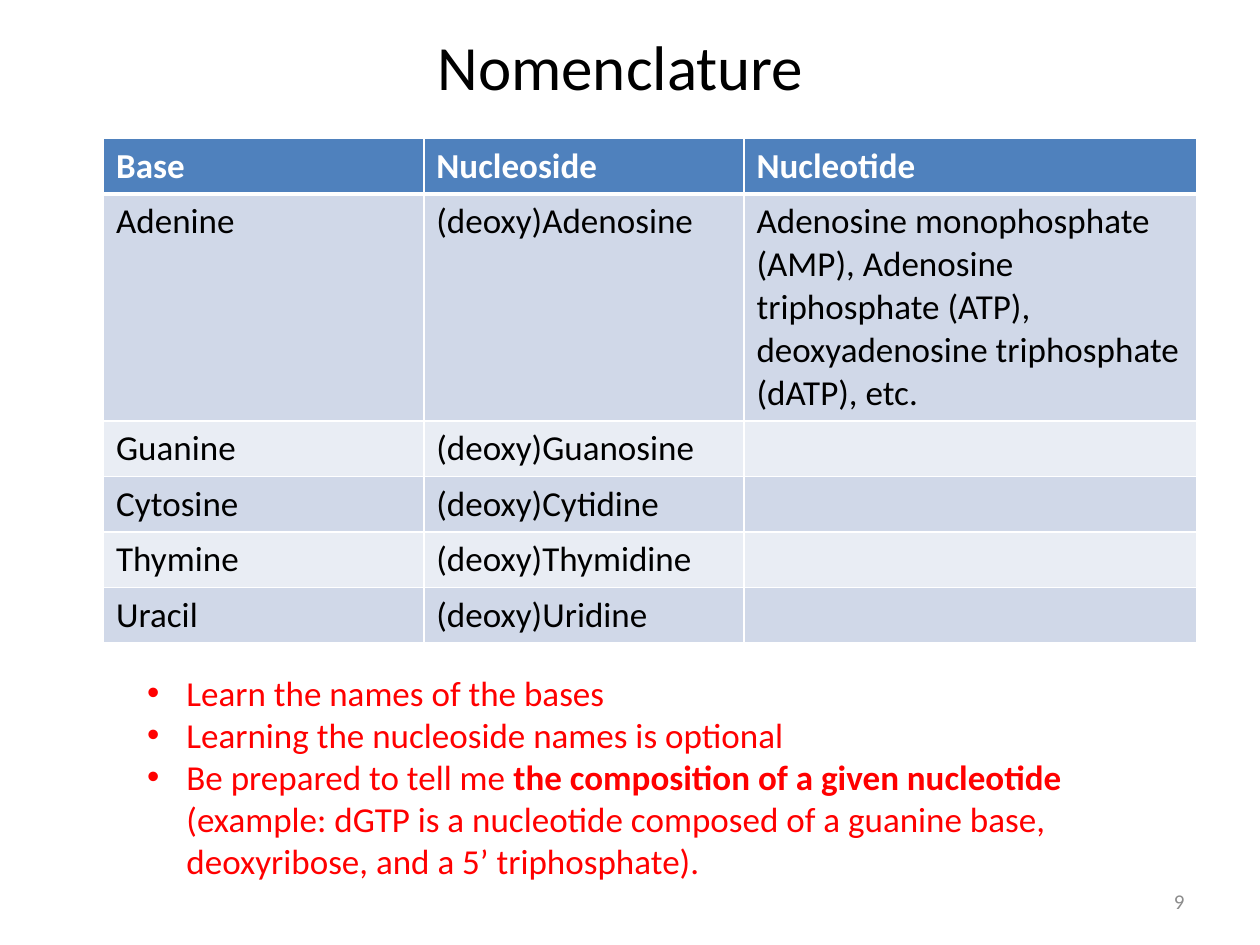
from pptx import Presentation
from pptx.dml.color import RGBColor
from pptx.enum.text import MSO_ANCHOR as Anchor, PP_ALIGN as Align
from pptx.oxml.ns import qn
from pptx.util import Pt
from lxml.etree import SubElement


def color(value):
    return RGBColor.from_string(value)


def set_font(font, size, value, bold=False):
    font.name, font.size, font.bold = "Calibri", Pt(size), bold
    font.color.rgb = color(value)


deck = Presentation()
deck.slide_width, deck.slide_height = Pt(720), Pt(540)
page = deck.slides.add_slide(deck.slide_layouts[5])

# Title
title = page.shapes.title
title.left, title.top, title.width, title.height = Pt(25.2), Pt(12.2), Pt(658.8), Pt(51)
title.text_frame.text = "Nomenclature"
title.text_frame.vertical_anchor = Anchor.TOP
para = title.text_frame.paragraphs[0]
para.alignment = Align.CENTER
set_font(para.font, 36, "000000")

# Table of names
rows = [
    ("Base", "Nucleoside", "Nucleotide"),
    ("Adenine", "(deoxy)Adenosine",
     "Adenosine monophosphate (AMP), Adenosine triphosphate (ATP), "
     "deoxyadenosine triphosphate (dATP), etc."),
    ("Guanine", "(deoxy)Guanosine", ""),
    ("Cytosine", "(deoxy)Cytidine", ""),
    ("Thymine", "(deoxy)Thymidine", ""),
    ("Uracil", "(deoxy)Uridine", ""),
]
widths = [183, 183, 258.6]
heights = [31.2, 127, 31.2, 31.2, 31.2, 31.2]
table = page.shapes.add_table(len(rows), len(widths), Pt(59.2), Pt(79.2),
                              Pt(sum(widths)), Pt(sum(heights))).table
for column, width in zip(table.columns, widths):
    column.width = Pt(width)

for r, row in enumerate(rows):
    table.rows[r].height = Pt(heights[r])
    header = r == 0
    fill = "4F81BD" if header else ("E9EDF4", "D0D8E8")[r % 2]
    for c, text in enumerate(row):
        cell = table.cell(r, c)
        # White rules, thick under the header
        for side in "LRTB":
            thick = (side == "B" and header) or (side == "T" and r == 1)
            line = SubElement(cell._tc.get_or_add_tcPr(), qn(f"a:ln{side}"),
                              w=str(Pt(3 if thick else 1)))
            SubElement(SubElement(line, qn("a:solidFill")), qn("a:srgbClr"), val="FFFFFF")
        cell.fill.solid()
        cell.fill.fore_color.rgb = color(fill)
        cell.text = text
        set_font(cell.text_frame.paragraphs[0].font, 20,
                 "FFFFFF" if header else "000000", header)

# Study notes: each bullet is a list of (text, bold) spans
notes = [
    [("Learn the names of the bases", False)],
    [("Learning the nucleoside names is optional", False)],
    [("Be prepared to tell me ", False),
     ("the composition of a given nucleotide ", True),
     ("(example: dGTP is a nucleotide composed of a guanine base, "
      "deoxyribose, and a 5’ triphosphate).", False)],
]
box = page.shapes.add_textbox(Pt(77), Pt(380.2), Pt(571), Pt(128.2))
frame = box.text_frame
frame.word_wrap = True
for i, note in enumerate(notes):
    para = frame.paragraphs[0] if i == 0 else frame.add_paragraph()
    props = para._p.get_or_add_pPr()
    props.set("marL", str(Pt(22.5)))
    props.set("indent", str(-Pt(22.5)))
    SubElement(props, qn("a:buFont"), typeface="Arial")
    SubElement(props, qn("a:buChar"), char="•")
    set_font(para.font, 20, "FF0000")
    for text, bold in note:
        span = para.add_run()
        span.text = text
        set_font(span.font, 20, "FF0000", bold)

# Page number
number = page.shapes.add_textbox(Pt(516), Pt(500.5), Pt(168), Pt(28.8))
number.text_frame.word_wrap = True
number.text_frame.vertical_anchor = Anchor.MIDDLE
para = number.text_frame.paragraphs[0]
para.text = "9"
para.alignment = Align.RIGHT
set_font(para.font, 12, "8C8C8C")

deck.save("out.pptx")
